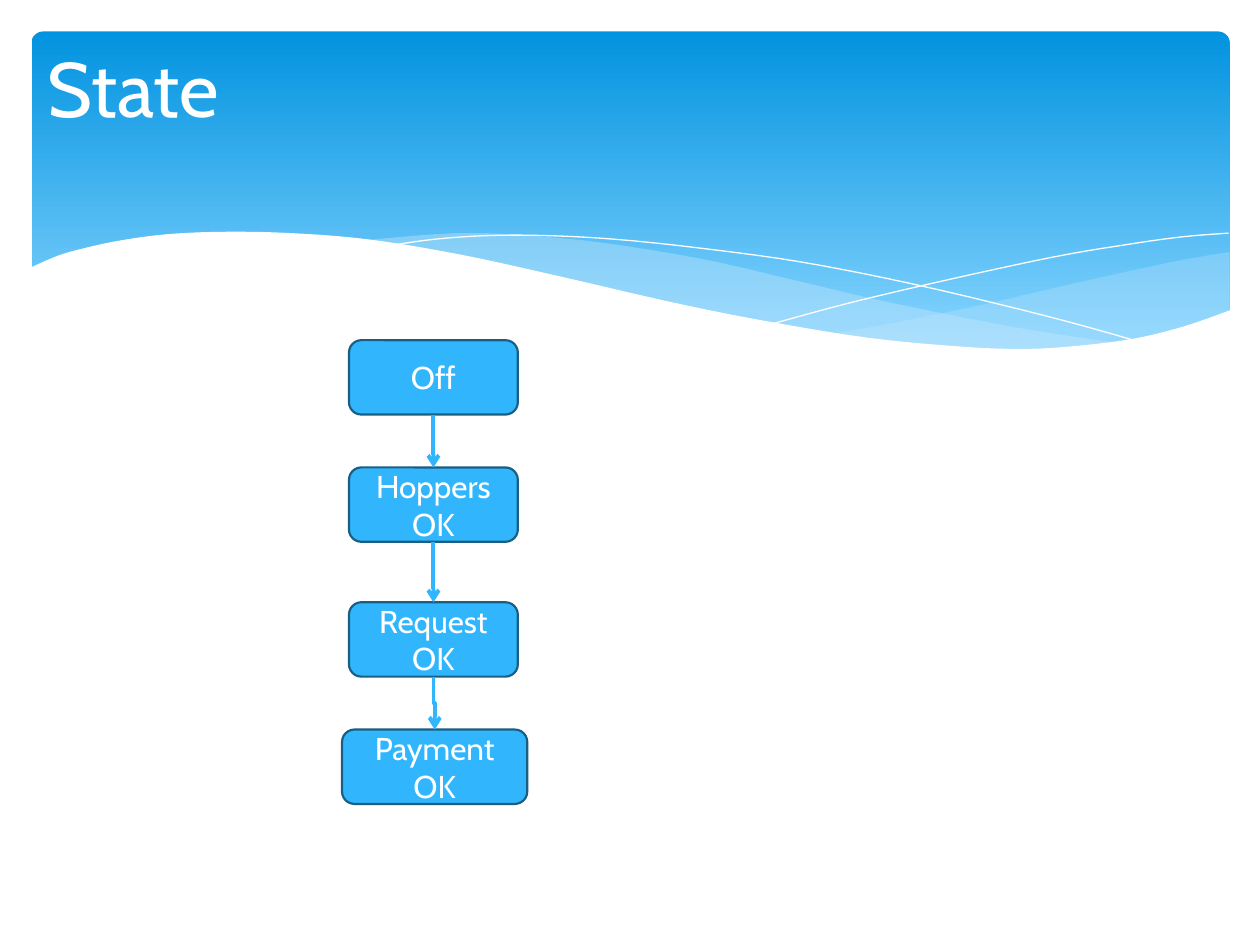
import pptx
import pptx.dml.color
import pptx.enum.dml
import pptx.enum.shapes
import pptx.enum.text
import pptx.oxml
import pptx.oxml.ns
import pptx.util

Inches, Pt = pptx.util.Inches, pptx.util.Pt
RGB = pptx.dml.color.RGBColor
SHAPE = pptx.enum.shapes.MSO_SHAPE
ALIGN, ANCHOR = pptx.enum.text.PP_ALIGN, pptx.enum.text.MSO_ANCHOR

WHITE = RGB(0xFF, 0xFF, 0xFF)
SKY = RGB(0x31, 0xB6, 0xFD)
NAVY = RGB(0x19, 0x5F, 0x84)
MIST = RGB(0xC6, 0xE7, 0xFC)
BANNER_STOPS = [(0, RGB(0x02, 0x93, 0xE0)), (0.9, RGB(0x83, 0xD3, 0xFE))]
FONT = "Cabin"

TITLE = "State"
# label, centre x, top, width
STATES = [
    ("Off", 3.44, 2.7, 1.34),
    ("Hoppers OK", 3.44, 3.71, 1.34),
    ("Request OK", 3.44, 4.78, 1.34),
    ("Payment OK", 3.45, 5.79, 1.47),
]
STATE_HEIGHT = 0.59

# Each wave is a list of smooth curves, joined end to end; the knots are in inches.
RIGHT_WAVE = [
    [(9.76, 2), (9.35, 2.07), (8.61, 2.23), (7.79, 2.42), (7.06, 2.57), (6.61, 2.65)],
    [(6.61, 2.65), (7.19, 2.72), (7.69, 2.77), (8.14, 2.78), (8.63, 2.75),
     (9.13, 2.67), (9.49, 2.57), (9.76, 2.47)],
]
LONG_WAVE = [
    [(8.93, 2.73), (8.07, 2.6), (7.06, 2.4), (6.29, 2.22), (5.69, 2.08), (5.14, 1.98),
     (4.65, 1.91), (4.2, 1.87), (3.8, 1.85), (3.44, 1.86), (2.86, 1.91)],
    [(2.86, 1.91), (3.42, 1.99), (4.04, 2.11), (4.49, 2.22), (5.3, 2.4), (6.01, 2.55),
     (6.65, 2.66), (7.22, 2.74), (7.73, 2.77), (8.18, 2.78), (8.57, 2.77), (8.93, 2.73)],
]
FALLING_LINE = [[(3.09, 1.95), (3.44, 1.9), (3.87, 1.87), (4.33, 1.87), (4.89, 1.9),
                 (5.56, 1.97), (6.36, 2.08), (7.27, 2.26), (8.31, 2.51), (9.07, 2.72)]]
RISING_LINE = [[(6.13, 2.57), (6.72, 2.41), (7.48, 2.23), (8.36, 2.04), (8.95, 1.94),
                (9.38, 1.88), (9.75, 1.85)]]
PAGE_WAVE = [
    [(9.77, 2.46), (9.4, 2.59), (8.99, 2.69), (8.5, 2.75), (8.09, 2.77), (7.61, 2.75),
     (6.88, 2.68), (6.03, 2.54), (5.29, 2.39), (4.47, 2.2), (3.65, 2.02), (2.92, 1.9),
     (2.3, 1.85), (1.77, 1.84), (1.32, 1.86), (0.95, 1.91), (0.67, 1.97), (0.46, 2.03),
     (0.23, 2.13)],
    [(0.23, 3.29), (9.77, 3.29)],
]
# curves, fill colour, opacity in percent, outline colour
WAVES = [
    (RIGHT_WAVE, MIST, 29, None),
    (LONG_WAVE, MIST, 40, None),
    (FALLING_LINE, None, None, WHITE),
    (RISING_LINE, None, None, WHITE),
    (PAGE_WAVE, WHITE, 100, None),
]
CURVE_STEPS = 5


def smooth(knots):
    """Sample a Catmull-Rom spline that passes through the knots."""
    padded = [knots[0], *knots, knots[-1]]
    points = [knots[0]]
    for a, b, c, d in zip(padded, padded[1:], padded[2:], padded[3:]):
        for step in range(1, CURVE_STEPS + 1):
            t = step / CURVE_STEPS
            points.append(tuple(
                (2 * q + (r - p) * t + (2 * p - 5 * q + 4 * r - s) * t ** 2
                 + (3 * q - p - 3 * r + s) * t ** 3) / 2
                for p, q, r, s in zip(a, b, c, d)))
    return points


def add_child(parent, tag, **attrs):
    child = pptx.oxml.parse_xml(f"<{tag} {pptx.oxml.ns.nsdecls('a')}/>")
    for name, value in attrs.items():
        child.set(name, str(value))
    parent.append(child)


def add_wave(shapes, curves, color, opacity, outline):
    points = [(Inches(x), Inches(y)) for knots in curves for x, y in smooth(knots)]
    builder = shapes.build_freeform(*points[0])
    builder.add_line_segments(points[1:], close=color is not None)
    s = builder.convert_to_shape()
    s.shadow.inherit = False
    if color is None:
        s.fill.background()
        s.line.color.rgb = outline
        s.line.width = Pt(0)
    else:
        s.fill.solid()
        s.fill.fore_color.rgb = color
        s.line.fill.background()
        if opacity < 100:
            rgb = s._element.spPr.find(".//" + pptx.oxml.ns.qn("a:srgbClr"))
            add_child(rgb, "a:alpha", val=opacity * 1000)


def add_banner(shapes):
    s = shapes.add_shape(SHAPE.ROUNDED_RECTANGLE, *map(Inches, (0.25, 0.25, 9.51, 2.7)))
    s.adjustments[0] = 0.034
    s.shadow.inherit = False
    s.line.fill.background()
    s.fill.gradient()
    s.fill.gradient_angle = 270
    for stop, (position, color) in zip(s.fill.gradient_stops, BANNER_STOPS):
        stop.position = position
        stop.color.rgb = color


def write(s, text, size, align, anchor):
    tf = s.text_frame
    tf.word_wrap = True
    tf.vertical_anchor = anchor
    p = tf.paragraphs[0]
    p.alignment = align
    r = p.add_run()
    r.text = text
    for name, value in {"name": FONT, "size": Pt(size)}.items():
        setattr(r.font, name, value)
    r.font.color.rgb = WHITE


def add_state(shapes, label, center, top, width):
    s = shapes.add_shape(SHAPE.ROUNDED_RECTANGLE, Inches(center - width / 2), Inches(top),
                         Inches(width), Inches(STATE_HEIGHT))
    s.shadow.inherit = False
    s.fill.solid()
    s.fill.fore_color.rgb = SKY
    s.line.color.rgb = NAVY
    s.line.width = Pt(1.25)
    write(s, label, 18, ALIGN.CENTER, ANCHOR.MIDDLE)
    return s


def add_arrow(shapes, upper, lower):
    """Join two states by an elbow turned to run downwards."""
    c = shapes.add_connector(pptx.enum.shapes.MSO_CONNECTOR.ELBOW, 0, 0, 0, 0)
    c.begin_connect(upper, 2)
    c.end_connect(lower, 0)
    x1, y1 = upper.left + upper.width // 2, upper.top + upper.height
    x2, y2 = lower.left + lower.width // 2, lower.top
    run, jog = y2 - y1, abs(x2 - x1)
    frame = {"left": (x1 + x2 - run) // 2, "top": (y1 + y2 - jog) // 2,
             "width": run, "height": jog}
    for name, value in frame.items():
        setattr(c, name, value)
    rightwards = x2 > x1
    xfrm = c._element.spPr.find(pptx.oxml.ns.qn("a:xfrm"))
    for name, value in {"rot": (270 if rightwards else 90) * 60000,
                        "flipH": int(rightwards), "flipV": 0}.items():
        xfrm.set(name, str(value))
    c.line.color.rgb = SKY
    c.line.width = Pt(2.25)
    add_child(c.line._get_or_add_ln(), "a:tailEnd", type="arrow")
    add_child(c._element.spPr, "a:effectLst")


def main():
    prs = pptx.Presentation()
    prs.slide_width, prs.slide_height = Inches(10), Inches(7.5)
    shapes = prs.slides.add_slide(prs.slide_layouts[6]).shapes
    add_banner(shapes)
    for wave in WAVES:
        add_wave(shapes, *wave)
    title = shapes.add_textbox(*map(Inches, (0.28, 0.27, 9.45, 1.47)))
    write(title, TITLE, 44, ALIGN.LEFT, ANCHOR.TOP)
    states = [add_state(shapes, *state) for state in STATES]
    for upper, lower in zip(states, states[1:]):
        add_arrow(shapes, upper, lower)
    prs.save("out.pptx")


if __name__ == "__main__":
    main()
